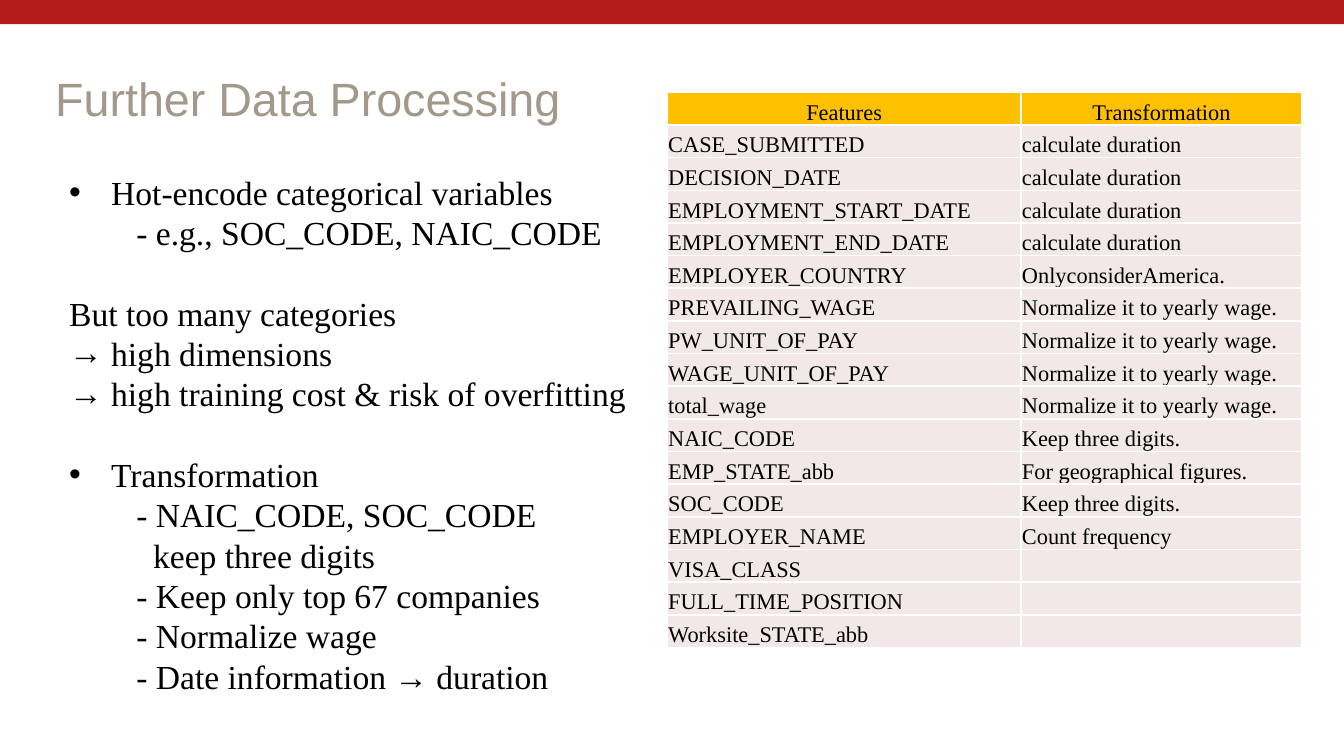
"""Build the data processing slide with its outline and feature table."""
from dataclasses import dataclass

import pptx
import pptx.dml.color
import pptx.enum.shapes
import pptx.enum.text
import pptx.oxml
import pptx.oxml.ns
import pptx.util

Pt = pptx.util.Pt
ALIGN = pptx.enum.text.PP_ALIGN
ANCHOR = pptx.enum.text.MSO_ANCHOR


@dataclass
class Theme:
    band: str = "B31B1B"
    title: str = "A2998B"
    ink: str = "000000"
    head: str = "FFC000"
    row: str = "F2E8E8"
    border: str = "FFFFFF"
    title_font: str = "Arial"
    body_font: str = "Times New Roman"
    title_size: float = 25
    body_size: float = 18
    cell_size: float = 12
    body_line: float = 21.6


def rgb(value):
    return pptx.dml.color.RGBColor.from_string(value)


def xml(tag, attrs="", inner=""):
    ns = pptx.oxml.ns.nsdecls("a")
    return pptx.oxml.parse_xml(f"<a:{tag} {ns} {attrs}>{inner}</a:{tag}>")


class Deck:
    def __init__(self, theme, width, height):
        self.theme = theme
        self.prs = pptx.Presentation()
        self.prs.slide_width, self.prs.slide_height = Pt(width), Pt(height)
        self.s = self.prs.slides.add_slide(self.prs.slide_layouts[6])

    def style(self, p, font, size, color):
        p.font.name, p.font.size = font, Pt(size)
        p.font.color.rgb = rgb(color)

    def bar(self, x, y, w, h, color):
        kind = pptx.enum.shapes.MSO_SHAPE.RECTANGLE
        sp = self.s.shapes.add_shape(kind, Pt(x), Pt(y), Pt(w), Pt(h))
        sp.shadow.inherit = False
        sp.fill.solid()
        sp.fill.fore_color.rgb = rgb(color)
        sp.line.fill.background()

    def box(self, x, y, w, h):
        tf = self.s.shapes.add_textbox(Pt(x), Pt(y), Pt(w), Pt(h)).text_frame
        tf.word_wrap = True
        return tf

    def title(self, x, y, w, h, text):
        t = self.theme
        tf = self.box(x, y, w, h)
        tf.vertical_anchor = ANCHOR.MIDDLE
        p = tf.paragraphs[0]
        p.text, p.line_spacing = text, 0.9
        self.style(p, t.title_font, t.title_size, t.title)

    def outline(self, x, y, w, h, items):
        t = self.theme
        tf = self.box(x, y, w, h)
        for i, (text, bullet, indent, gap) in enumerate(items):
            p = tf.paragraphs[0] if i == 0 else tf.add_paragraph()
            p.text, p.line_spacing = text, Pt(t.body_line)
            p.space_before = Pt(t.body_line if gap else 0)
            self.style(p, t.body_font, t.body_size, t.ink)
            pPr = p._p.get_or_add_pPr()
            pPr.set("marL", str(Pt(indent)))
            pPr.set("indent", str(-Pt(indent) if bullet else 0))
            if bullet:
                pPr.insert_element_before(xml("buFont", 'typeface="Arial"'), "a:defRPr")
                pPr.insert_element_before(xml("buChar", f'char="{bullet}"'), "a:defRPr")

    def cell(self, c, text, fill, align):
        t = self.theme
        c.margin_left = c.margin_right = c.margin_top = Pt(0.5)
        c.margin_bottom = Pt(0)
        c.vertical_anchor = ANCHOR.BOTTOM
        p = c.text_frame.paragraphs[0]
        p.alignment = align
        self.style(p, t.body_font, t.cell_size, t.ink)
        if text:
            p.text = text
        else:
            p._p.append(xml("endParaRPr", f'sz="{t.cell_size * 100}"'))
        tcPr = c._tc.get_or_add_tcPr()
        line = f'<a:solidFill><a:srgbClr val="{t.border}"/></a:solidFill>'
        for side in ("lnL", "lnR", "lnT", "lnB"):
            tcPr.append(xml(side, f'w="{Pt(1)}"', line))
        c.fill.solid()
        c.fill.fore_color.rgb = rgb(fill)

    def table(self, x, y, widths, row_height, rows):
        t = self.theme
        tb = self.s.shapes.add_table(
            len(rows), len(widths), Pt(x), Pt(y),
            Pt(sum(widths)), Pt(row_height * len(rows))).table
        for col, width in zip(tb.columns, widths):
            col.width = Pt(width)
        for i, row in enumerate(rows):
            tb.rows[i].height = Pt(row_height)
            fill, align = (t.row, ALIGN.LEFT) if i else (t.head, ALIGN.CENTER)
            for j, text in enumerate(row):
                self.cell(tb.cell(i, j), text, fill, align)


DURATION = "calculate duration"
YEARLY = "Normalize it to yearly wage."
DIGITS = "Keep three digits."
FEATURES = [
    ("Features", "Transformation"),
    ("CASE_SUBMITTED", DURATION),
    ("DECISION_DATE", DURATION),
    ("EMPLOYMENT_START_DATE", DURATION),
    ("EMPLOYMENT_END_DATE", DURATION),
    ("EMPLOYER_COUNTRY", "OnlyconsiderAmerica."),
    ("PREVAILING_WAGE", YEARLY),
    ("PW_UNIT_OF_PAY", YEARLY),
    ("WAGE_UNIT_OF_PAY", YEARLY),
    ("total_wage", YEARLY),
    ("NAIC_CODE", DIGITS),
    ("EMP_STATE_abb", "For geographical figures."),
    ("SOC_CODE", DIGITS),
    ("EMPLOYER_NAME", "Count frequency"),
    ("VISA_CLASS", ""),
    ("FULL_TIME_POSITION", ""),
    ("Worksite_STATE_abb", ""),
]
HANG, SUB = 22.5, 36
OUTLINE = [
    ("Hot-encode categorical variables", "•", HANG, False),
    ("- e.g., SOC_CODE, NAIC_CODE", "", SUB, False),
    ("But too many categories", "", 0, True),
    ("high dimensions", "→", HANG, False),
    ("high training cost & risk of overfitting", "→", HANG, False),
    ("Transformation", "•", HANG, True),
    ("- NAIC_CODE, SOC_CODE", "", SUB, False),
    ("keep three digits", "", SUB + 9, False),
    ("- Keep only top 67 companies", "", SUB, False),
    ("- Normalize wage", "", SUB, False),
    ("- Date information → duration", "", SUB, False),
]

deck = Deck(Theme(), 720, 405)
deck.bar(0, 0, 720, 13, deck.theme.band)
deck.outline(30, 88.5, 360, 312.5, OUTLINE)
deck.title(22.5, 36.5, 516, 35.5, "Further Data Processing")
deck.table(357.5, 49.5, (189.5, 150.5), 17.5, FEATURES)
deck.prs.save("out.pptx")
